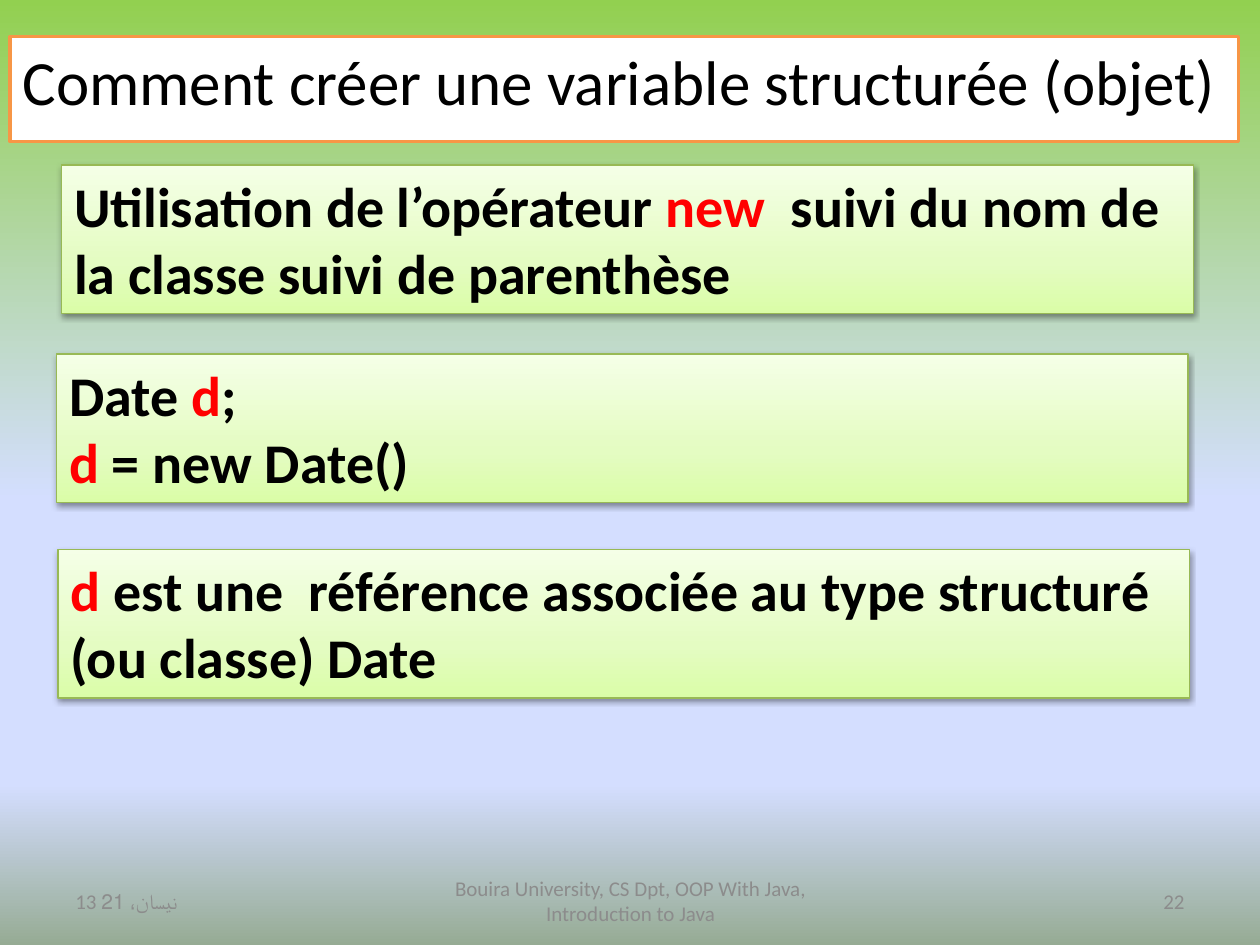
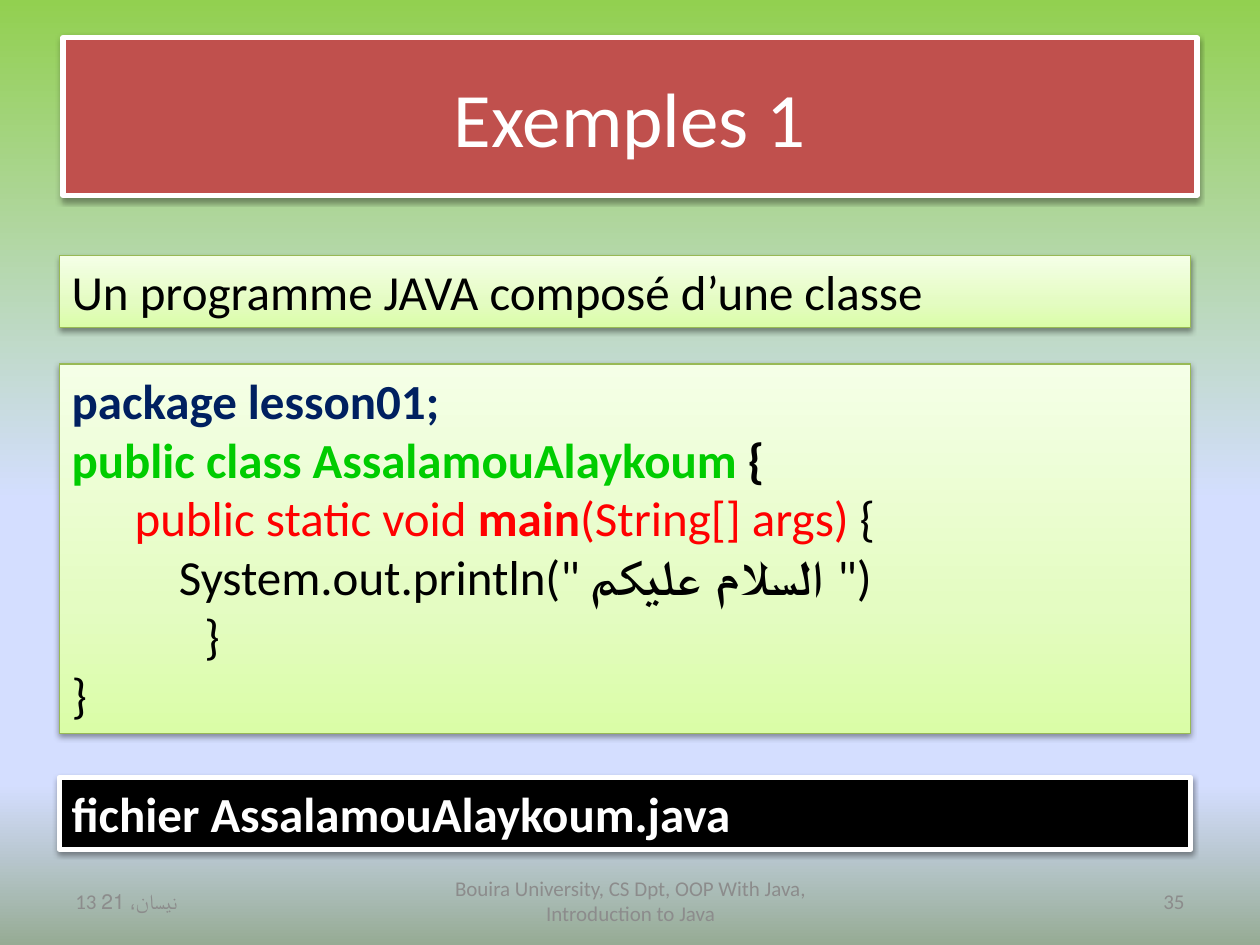
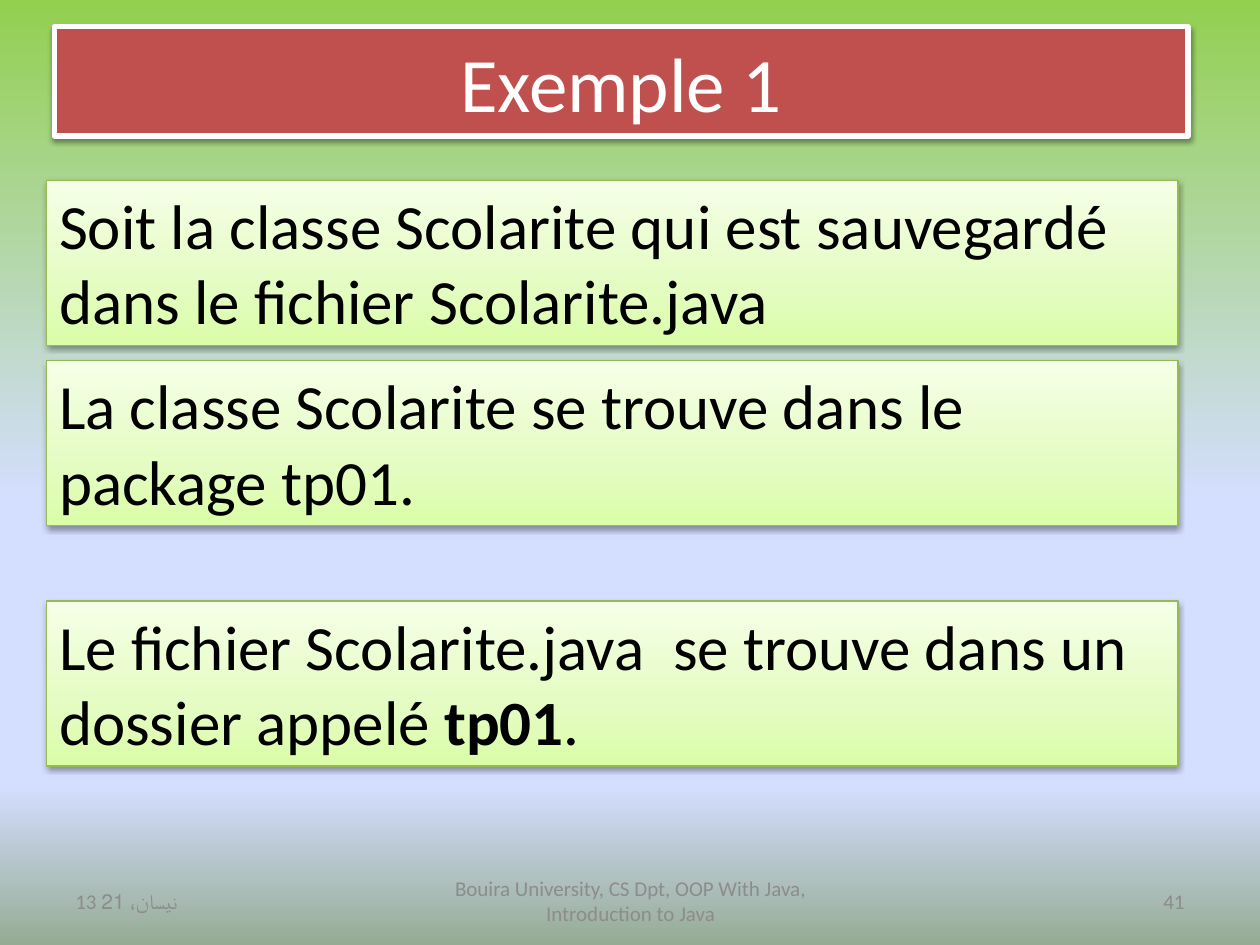
from lxml.etree import SubElement
from pptx import Presentation
from pptx.dml.color import RGBColor
from pptx.enum.shapes import MSO_SHAPE
from pptx.enum.text import MSO_ANCHOR, MSO_AUTO_SIZE, PP_ALIGN
from pptx.oxml.ns import qn
from pptx.util import Inches, Pt

FONT = "Calibri"
BLACK, WHITE, RED = "000000", "FFFFFF", "FF0000"
BRICK, ORANGE, OLIVE, GREY = "C0504D", "F79646", "98B955", "8C8C8C"
NAVY, GREEN = "002060", "00CC00"

BACKGROUND = [(0, "92D050"), (53, "D4DEFF"), (83, "D4DEFF"), (100, "96AB94")]
LIME = [(0, "DAFDA7"), (35, "E4FCC2"), (100, "F5FFE7")]

# Look of a box: fill, line colour, line width, shadow
LOOKS = {
    "lime": (LIME, OLIVE, 0.75, True),
    "black": (BLACK, WHITE, 3, True),
    "brick": (BRICK, WHITE, 3, True),
    "outlined": (WHITE, ORANGE, 2, False),
}


def paint(fill, element, colour, angle=270):
    """Fill with one hex colour, or with a gradient given as (percent, hex) stops."""
    if isinstance(colour, str):
        fill.solid()
        fill.fore_color.rgb = RGBColor.from_string(colour)
        return
    fill.gradient()
    gradient = element.find(".//" + qn("a:gradFill"))
    stop_list = gradient.find(qn("a:gsLst"))
    for stop in list(stop_list):
        stop_list.remove(stop)
    for percent, value in colour:
        stop = SubElement(stop_list, qn("a:gs"), pos=str(percent * 1000))
        SubElement(stop, qn("a:srgbClr"), val=value)
    gradient.find(qn("a:lin")).set("ang", str(angle * 60000))


def write(frame, lines, size, align=PP_ALIGN.LEFT):
    """Write lines, each a list of (text, colour, bold) runs."""
    for index, line in enumerate(lines):
        paragraph = frame.add_paragraph() if index else frame.paragraphs[0]
        paragraph.alignment = align
        for text, colour, bold in line:
            run = paragraph.add_run()
            run.text = text
            run.font.name = FONT
            run.font.size = Pt(size)
            run.font.bold = bold
            run.font.color.rgb = RGBColor.from_string(colour)


# Title: text, look, size, alignment, place
# Box: look, size, place, lines
SLIDES = [
    {
        "number": "22",
        "title": ("Comment créer une variable structurée (objet)", "outlined", BLACK, 36,
                  PP_ALIGN.LEFT, (0.08, 0.29, 9.75, 0.71)),
        "boxes": [
            ("lime", 32, (0.49, 1.31, 8.98, 1.18), [
                [("Utilisation de l’opérateur", BLACK, True), (" new  ", RED, True),
                 ("suivi du nom de la classe suivi de parenthèse", BLACK, True)],
            ]),
            ("lime", 32, (0.45, 2.81, 8.98, 1.18), [
                [("Date ", BLACK, True), ("d", RED, True), (";", BLACK, True)],
                [("d ", RED, True), ("= new Date()", BLACK, True)],
            ]),
            ("lime", 32, (0.46, 4.36, 8.98, 1.18), [
                [("d", RED, True),
                 (" est une  référence associée au type structuré (ou classe) Date", BLACK, True)],
            ]),
        ],
    },
    {
        "number": "35",
        "title": ("Exemples 1", "brick", WHITE, 44, PP_ALIGN.CENTER, (0.5, 0.3, 9, 1.25)),
        "boxes": [
            ("lime", 28, (0.47, 2.03, 8.98, 0.57), [
                [("Un programme JAVA composé d’une classe", BLACK, False)],
            ]),
            ("lime", 28, (0.47, 2.89, 8.98, 2.93), [
                [("package lesson01;", NAVY, True)],
                [("public class AssalamouAlaykoum ", GREEN, True), ("{", BLACK, True)],
                [("\tpublic static void ", RED, False), ("main", RED, True),
                 ("(String[] args)", RED, False), (" {", BLACK, False)],
                [("\t    System.out.println(\"", BLACK, False),
                 (" السلام عليكم ", BLACK, True), ("\")", BLACK, False)],
                [("            }", BLACK, False)],
                [("}", BLACK, False)],
            ]),
            ("black", 28, (0.47, 6.17, 8.98, 0.57), [
                [("fichier AssalamouAlaykoum.java", WHITE, True)],
            ]),
        ],
    },
    {
        "number": "41",
        "title": ("Exemple 1", "brick", WHITE, 44, PP_ALIGN.CENTER, (0.43, 0.21, 9, 0.87)),
        "boxes": [
            ("lime", 36, (0.37, 1.43, 8.98, 1.31), [
                [("Soit la classe Scolarite qui est sauvegardé dans le fichier Scolarite.java",
                  BLACK, False)],
            ]),
            ("lime", 36, (0.37, 2.86, 8.98, 1.31), [
                [("La classe Scolarite se trouve dans le package tp01.", BLACK, False)],
            ]),
            ("lime", 36, (0.37, 4.77, 8.98, 1.31), [
                [("Le fichier Scolarite.java  se trouve dans un dossier appelé ", BLACK, False),
                 ("tp01", BLACK, True), (".", BLACK, False)],
            ]),
        ],
    },
]

presentation = Presentation()
presentation.slide_width, presentation.slide_height = Inches(10), Inches(7.5)
master = presentation.slide_master
paint(master.background.fill, master.element, BACKGROUND, 90)
title_only = presentation.slide_layouts[5]

for content in SLIDES:
    slide = presentation.slides.add_slide(title_only)

    title_text, title_look, title_colour, title_size, title_align, title_place = content["title"]
    blocks = [(slide.shapes.title, title_look, title_size, title_align, title_place,
               [[(title_text, title_colour, False)]])]
    for look, size, place, lines in content["boxes"]:
        box = slide.shapes.add_shape(MSO_SHAPE.RECTANGLE, 0, 0, 0, 0)
        blocks.append((box, look, size, PP_ALIGN.LEFT, place, lines))

    for shape, look, size, align, place, lines in blocks:
        shape.left, shape.top, shape.width, shape.height = map(Inches, place)
        fill_colour, line_colour, line_width, has_shadow = LOOKS[look]
        paint(shape.fill, shape.element, fill_colour)
        shape.line.color.rgb = RGBColor.from_string(line_colour)
        shape.line.width = Pt(line_width)
        shape.shadow.inherit = False
        if has_shadow:
            effects = shape.element.spPr.find(qn("a:effectLst"))
            shadow = SubElement(effects, qn("a:outerShdw"), blurRad=str(Pt(3.1)),
                                dist=str(Pt(1.6)), dir="5400000", rotWithShape="0")
            shadow_colour = SubElement(shadow, qn("a:srgbClr"), val=BLACK)
            SubElement(shadow_colour, qn("a:alpha"), val="38000")
        frame = shape.text_frame
        frame.word_wrap = look != "outlined"
        frame.auto_size = (MSO_AUTO_SIZE.NONE if look == "brick"
                           else MSO_AUTO_SIZE.SHAPE_TO_FIT_TEXT)
        frame.vertical_anchor = MSO_ANCHOR.MIDDLE if look == "brick" else MSO_ANCHOR.TOP
        write(frame, lines, size, align)

    for text, left, width, align in [
        ("13 نيسان، 21", 0.5, 2.33, PP_ALIGN.LEFT),
        ("Bouira University, CS Dpt, OOP With Java, Introduction to Java",
         3.42, 3.17, PP_ALIGN.CENTER),
        (content["number"], 7.17, 2.33, PP_ALIGN.RIGHT),
    ]:
        footer = slide.shapes.add_textbox(Inches(left), Inches(6.95), Inches(width), Inches(0.4))
        footer.text_frame.word_wrap = True
        footer.text_frame.vertical_anchor = MSO_ANCHOR.MIDDLE
        write(footer.text_frame, [[(text, GREY, False)]], 12, align)

presentation.save("out.pptx")
